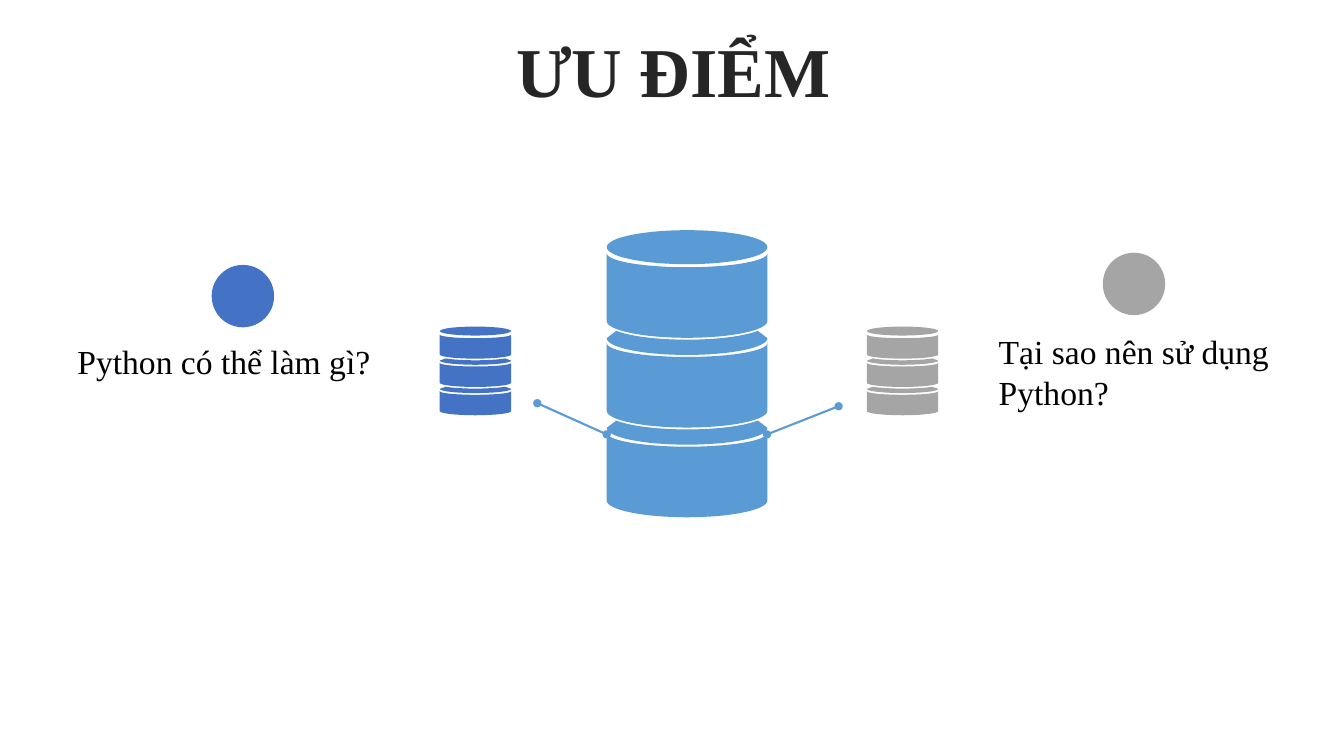
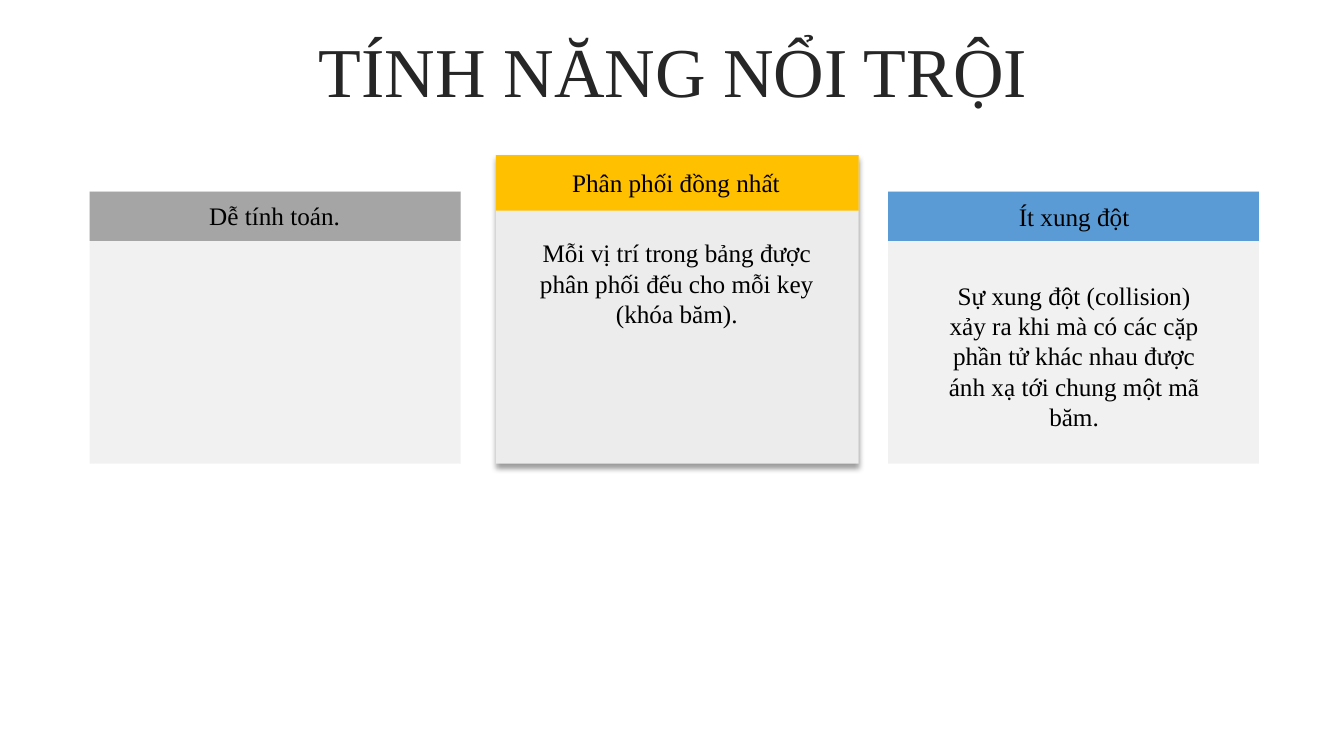
"""Build two Vietnamese slides: a database diagram and three feature cards."""
from dataclasses import dataclass
from math import cos, pi, sin
from typing import Optional

from lxml.etree import SubElement
from pptx import Presentation
from pptx.dml.color import RGBColor
from pptx.enum.shapes import MSO_CONNECTOR, MSO_SHAPE as Preset
from pptx.enum.text import MSO_ANCHOR as Anchor, MSO_AUTO_SIZE as AutoSize, PP_ALIGN as Align
from pptx.oxml.ns import qn
from pptx.shapes.autoshape import Shape
from pptx.slide import Slide
from pptx.util import Pt

FONT = "Times New Roman"
BLACK = RGBColor(0x00, 0x00, 0x00)
CHARCOAL = RGBColor(0x26, 0x26, 0x26)
LIGHT_GRAY = RGBColor(0xEC, 0xEC, 0xEC)
GRAY = RGBColor(0xA5, 0xA5, 0xA5)
SKY = RGBColor(0x5B, 0x9B, 0xD5)
BLUE = RGBColor(0x44, 0x72, 0xC4)
AMBER = RGBColor(0xFF, 0xC0, 0x00)
TITLE_ONLY = 5
ARC_STEPS = 32
DRUM_COUNT = 3
CARD_BOTTOM = 331.2

Points = list[tuple[float, float]]


@dataclass(frozen=True)
class Box:
    left: float
    top: float
    width: float
    height: float

    def lengths(self) -> tuple[Pt, Pt, Pt, Pt]:
        return Pt(self.left), Pt(self.top), Pt(self.width), Pt(self.height)


@dataclass(frozen=True)
class Label:
    text: str
    box: Box
    size: float = 18
    align: Align = Align.CENTER
    anchor: Anchor = Anchor.MIDDLE


@dataclass(frozen=True)
class CylinderSize:
    width: float
    lid: float
    first_drum: float
    pitch: float
    drum: float
    top_sag: float
    bottom_sag: float
    gap: float
    band_inset: float


@dataclass(frozen=True)
class Cylinder:
    left: float
    top: float
    size: CylinderSize
    color: RGBColor


@dataclass(frozen=True)
class Link:
    start: tuple[float, float]
    end: tuple[float, float]


@dataclass(frozen=True)
class Topic:
    label: Label
    dot: Box
    color: RGBColor


@dataclass(frozen=True)
class Card:
    left: float
    top: float
    width: float
    header: float
    color: RGBColor
    heading: Label
    body: Optional[Label] = None
    raised: bool = False


LARGE = CylinderSize(114.8, 24.3, 16.5, 64.1, 60.4, 10, 12, 1.4, 6.5)
SMALL = CylinderSize(51, 6.4, 5.7, 20.2, 17.2, 2.6, 3, 1.2, 4)

LINKS = [
    Link((383.8, 288), (433.4, 310.3)),
    Link((599, 290.2), (547.9, 310.3)),
]
CYLINDERS = [
    Cylinder(433.4, 164.4, LARGE, SKY),
    Cylinder(619.2, 233.3, SMALL, GRAY),
    Cylinder(314.1, 233.3, SMALL, BLUE),
]
TOPICS = [
    Topic(Label("Tại sao nên sử dụng Python?", Box(706.3, 232.6, 230.4, 65.5), 24, Align.LEFT),
          Box(787.7, 180.5, 44.6, 44.6), GRAY),
    Topic(Label("Python có thể làm gì?", Box(48.2, 239.8, 250.6, 36), 24, Align.LEFT),
          Box(151.2, 189.2, 44.6, 44.6), BLUE),
]
CARDS = [
    Card(64, 136.8, 265, 35.3, GRAY,
         Label("Dễ tính toán.", Box(105.1, 139.7, 182.2, 29))),
    Card(634.3, 136.8, 265, 35.3, SKY,
         Label("Ít xung đột", Box(679, 140.4, 176.4, 29)),
         Label("Sự xung đột (collision) xảy ra khi mà có các cặp phần tử khác nhau "
               "được ánh xạ tới chung một mã băm.",
               Box(668.2, 196.6, 198, 116.6), anchor=Anchor.TOP)),
    Card(354.2, 110.8, 259.2, 39.6, AMBER,
         Label("Phân phối đồng nhất", Box(369.4, 116, 226.8, 29)),
         Label("Mỗi vị trí trong bảng được phân phối đếu cho mỗi key (khóa băm).",
               Box(375.8, 166.3, 215.3, 72.7), anchor=Anchor.TOP),
         raised=True),
]


def paint(shape: Shape, color: RGBColor) -> Shape:
    """Give a shape a flat fill without outline or shadow."""
    shape.shadow.inherit = False
    shape.fill.solid()
    shape.fill.fore_color.rgb = color
    shape.line.fill.background()
    return shape


def add_preset(slide: Slide, preset: Preset, box: Box, color: RGBColor) -> Shape:
    """Add a flat preset shape."""
    return paint(slide.shapes.add_shape(preset, *box.lengths()), color)


def add_outline(slide: Slide, points: Points, color: RGBColor) -> None:
    """Add a flat closed outline through the given points."""
    corners = [(Pt(x), Pt(y)) for x, y in points]
    builder = slide.shapes.build_freeform(*corners[0], scale=1.0)
    builder.add_line_segments(corners[1:], close=True)
    paint(builder.convert_to_shape(), color)


def add_text(shape: Shape, label: Label, color: RGBColor = BLACK, bold: bool = False) -> None:
    """Write a label into a shape as one formatted run."""
    frame = shape.text_frame
    frame.word_wrap = True
    frame.vertical_anchor = label.anchor
    paragraph = frame.paragraphs[0]
    paragraph.alignment = label.align
    run = paragraph.add_run()
    run.text = label.text
    run.font.name = FONT
    run.font.size = Pt(label.size)
    run.font.bold = bold
    run.font.color.rgb = color


def add_label(slide: Slide, label: Label) -> None:
    """Add a text box that grows with its text."""
    shape = slide.shapes.add_textbox(*label.box.lengths())
    add_text(shape, label)
    shape.text_frame.auto_size = AutoSize.SHAPE_TO_FIT_TEXT


def add_titled_slide(presentation: Presentation, text: str, bold: bool = False) -> Slide:
    """Add a title-only slide with the shared title style."""
    slide = presentation.slides.add_slide(presentation.slide_layouts[TITLE_ONLY])
    title = slide.shapes.title
    label = Label(text, Box(25.2, 26.6, 911.5, 56.9), 50)
    title.left, title.top, title.width, title.height = label.box.lengths()
    add_text(title, label, CHARCOAL, bold)
    title.text_frame.auto_size = AutoSize.NONE
    paragraph = title.text_frame.paragraphs[0]
    paragraph.line_spacing = 0.8
    paragraph.space_before = Pt(10)
    return slide


def sagging_arc(left: float, width: float, lowest: float, sag: float, inset: float = 0) -> Points:
    """Return the lower half of an ellipse from left to right, cut at the inset."""
    radius = width / 2
    points = [(left + radius - radius * cos(pi * step / ARC_STEPS),
               lowest - sag + sag * sin(pi * step / ARC_STEPS))
              for step in range(ARC_STEPS + 1)]
    return [(x, y) for x, y in points if left + inset <= x <= left + width - inset]


def add_cylinder(slide: Slide, cylinder: Cylinder) -> None:
    """Draw a lid, the drums and the bands that show between them."""
    size, left, color = cylinder.size, cylinder.left, cylinder.color
    add_preset(slide, Preset.OVAL, Box(left, cylinder.top, size.width, size.lid), color)
    for index in range(DRUM_COUNT):
        top = cylinder.top + size.first_drum + index * size.pitch
        upper = sagging_arc(left, size.width, top + size.top_sag, size.top_sag)
        lower = sagging_arc(left, size.width, top + size.drum, size.bottom_sag)
        add_outline(slide, upper + lower[::-1], color)
        if index:
            previous = top - size.pitch + size.drum + size.gap
            edge = sagging_arc(left, size.width, previous, size.bottom_sag, size.band_inset)
            rim = sagging_arc(left, size.width, top + size.top_sag - size.gap, size.bottom_sag)
            add_outline(slide, edge + rim[::-1], color)


def add_link(slide: Slide, link: Link) -> None:
    """Draw a line with a round dot at both ends."""
    ends = [Pt(value) for value in link.start + link.end]
    connector = slide.shapes.add_connector(MSO_CONNECTOR.STRAIGHT, *ends)
    connector.line.color.rgb = SKY
    connector.line.width = Pt(1.5)
    properties = connector._element.spPr
    for tag in ("a:headEnd", "a:tailEnd"):
        SubElement(properties.find(qn("a:ln")), qn(tag), type="oval")
    SubElement(properties, qn("a:effectLst"))


def add_alpha(color_element, percent: int) -> None:
    """Set the opacity of a colour element."""
    SubElement(color_element, qn("a:alpha"), val=str(percent * 1000))


def add_drop_shadow(shape: Shape) -> None:
    """Add a soft shadow straight below a shape."""
    effects = shape._element.spPr.find(qn("a:effectLst"))
    shadow = SubElement(effects, qn("a:outerShdw"), blurRad=str(Pt(4)), dist=str(Pt(3)),
                        dir="5400000", algn="t", rotWithShape="0")
    add_alpha(SubElement(shadow, qn("a:srgbClr"), val=str(BLACK)), 40)


def add_card(slide: Slide, card: Card) -> None:
    """Draw a card with a coloured header and its texts."""
    panel_box = Box(card.left, card.top, card.width, CARD_BOTTOM - card.top)
    panel = add_preset(slide, Preset.RECTANGLE, panel_box, LIGHT_GRAY)
    if card.raised:
        add_drop_shadow(panel)
    else:
        add_alpha(panel._element.spPr.find(qn("a:solidFill"))[0], 70)
    header_box = Box(card.left, card.top, card.width, card.header)
    add_preset(slide, Preset.RECTANGLE, header_box, card.color)
    add_label(slide, card.heading)
    if card.body:
        add_label(slide, card.body)


def main() -> None:
    """Build and save the presentation."""
    presentation = Presentation()
    presentation.slide_width, presentation.slide_height = Pt(960), Pt(540)

    advantages = add_titled_slide(presentation, "ƯU ĐIỂM", bold=True)
    for link in LINKS:
        add_link(advantages, link)
    for cylinder in CYLINDERS:
        add_cylinder(advantages, cylinder)
    for topic in TOPICS:
        add_label(advantages, topic.label)
        add_preset(advantages, Preset.OVAL, topic.dot, topic.color)

    features = add_titled_slide(presentation, "TÍNH NĂNG NỔI TRỘI")
    for card in CARDS:
        add_card(features, card)

    presentation.save("out.pptx")


if __name__ == "__main__":
    main()
